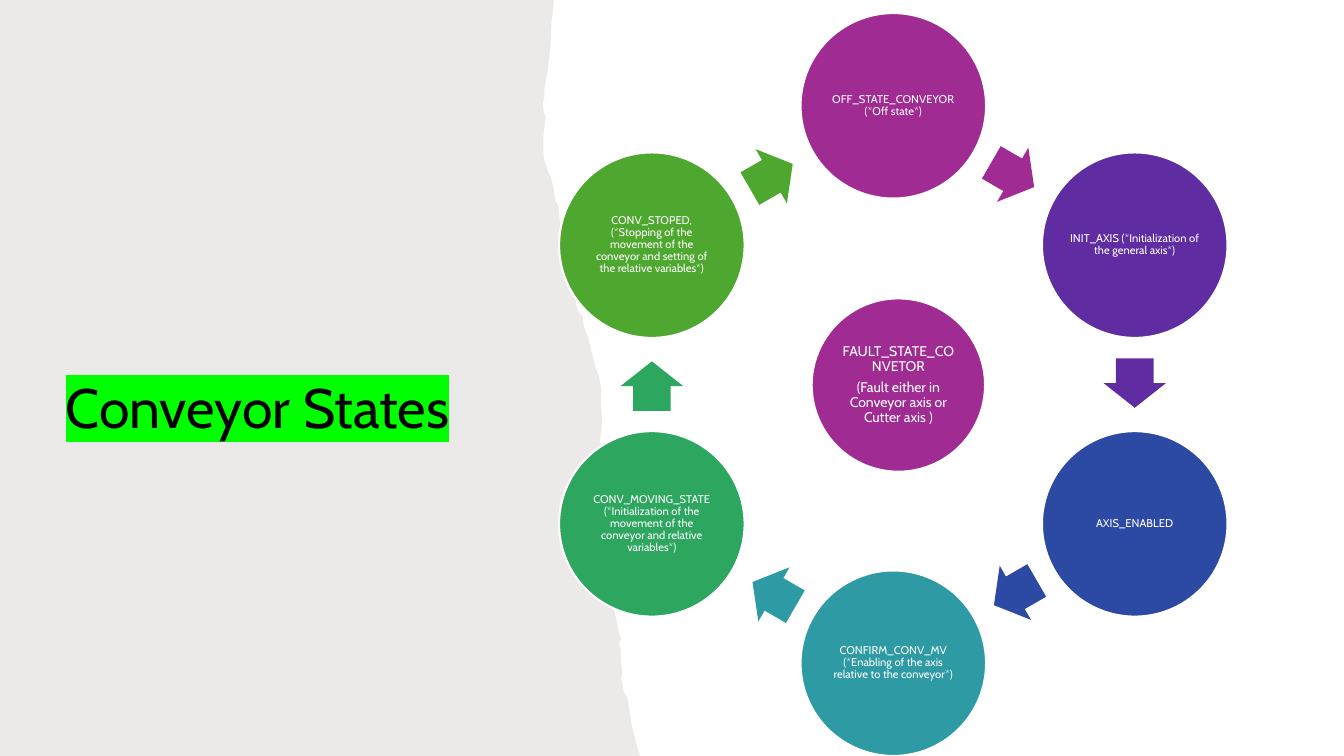
import math

import pptx
import pptx.dml.color
import pptx.enum.shapes
import pptx.enum.text
import pptx.oxml
import pptx.oxml.ns
import pptx.util

RGB = pptx.dml.color.RGBColor
SHAPE = pptx.enum.shapes.MSO_SHAPE
ALIGN = pptx.enum.text.PP_ALIGN
ANCHOR = pptx.enum.text.MSO_ANCHOR

SCALE = 9144
FONT = "Cabin"
WHITE = RGB(0xFF, 0xFF, 0xFF)
BLACK = RGB(0x00, 0x00, 0x00)
STONE = RGB(0x82, 0x76, 0x6A)
PLUM = RGB(0xA0, 0x2B, 0x93)
VIOLET = RGB(0x5F, 0x2C, 0xA1)
BLUE = RGB(0x2C, 0x49, 0xA3)
TEAL = RGB(0x2D, 0x9A, 0xA4)
JADE = RGB(0x2D, 0xA6, 0x5F)
GREEN = RGB(0x4E, 0xA7, 0x2E)

STATES = [
    ("OFF_STATE_CONVEYOR (*Off state*)", PLUM),
    ("INIT_AXIS (*Initialization of the general axis*)", VIOLET),
    ("AXIS_ENABLED", BLUE),
    ("CONFIRM_CONV_MV (*Enabling of the axis relative to the conveyor*)", TEAL),
    ("CONV_MOVING_STATE (*Initialization of the movement of the conveyor "
     "and relative variables*)", JADE),
    ("CONV_STOPED, (*Stopping of the movement of the conveyor and setting "
     "of the relative variables*)", GREEN),
]
FAULT = ["FAULT_STATE_CONVETOR", "(Fault either in Conveyor axis or Cutter axis )"]

EDGE = [
    (549, 0), (549, 5), (547, 22), (546, 45), (544, 64), (540, 88), (540, 96),
    (538, 103), (539, 109), (541, 117), (539, 135), (539, 151), (540, 160),
    (544, 171), (546, 175), (549, 186), (551, 200), (554, 204), (555, 217),
    (557, 226), (558, 232), (560, 238), (564, 247), (567, 252), (568, 263),
    (570, 274), (572, 290), (571, 302), (574, 310), (578, 314), (579, 324),
    (583, 334), (587, 350), (592, 369), (594, 373), (596, 385), (596, 399),
    (597, 414), (597, 420), (595, 439), (597, 443), (597, 448), (597, 473),
    (597, 484), (599, 491), (600, 496), (599, 502), (598, 510), (596, 516),
    (596, 521), (599, 530), (602, 539), (603, 551), (603, 561), (605, 569),
    (604, 575), (607, 586), (608, 597), (609, 606), (612, 617), (613, 625),
    (616, 634), (614, 639), (616, 645), (616, 654), (617, 669), (616, 673),
    (618, 682), (619, 687), (622, 692), (623, 696), (626, 717), (633, 745),
    (635, 750),
]


def px(size):
    """Turn px into EMU."""
    return pptx.util.Emu(round(size * SCALE))


def apply(item, form):
    """Set each value of a format on an item."""
    for key, value in form.items():
        setattr(item, key, value)


def write(frame, texts, size, color, gap=0, **form):
    """Fill a text frame with centred paragraphs."""
    apply(frame, {"word_wrap": True, **form})
    for i, text in enumerate(texts):
        para = frame.paragraphs[0] if i == 0 else frame.add_paragraph()
        apply(para, {"alignment": ALIGN.CENTER, "line_spacing": 0.9,
                     "space_after": pptx.util.Pt(gap)})
        run = para.add_run()
        apply(run, {"text": text})
        apply(run.font, {"name": FONT, "size": pptx.util.Pt(size)})
        run.font.color.rgb = color


def paint(shape, color):
    """Give a shape a plain fill without line or shadow."""
    shape.shadow.inherit = False
    shape.fill.solid()
    shape.fill.fore_color.rgb = color
    shape.line.fill.background()


def panel(shapes, x, y):
    """Draw the torn panel from its top left corner."""
    build = shapes.build_freeform(x, y, scale=SCALE)
    build.add_line_segments([(x + dx, y + dy) for dx, dy in EDGE] + [(x, y + EDGE[-1][1])])
    shape = build.convert_to_shape()
    paint(shape, STONE)
    tint = shape.fill._xPr.find(".//" + pptx.oxml.ns.qn("a:srgbClr"))
    tint.append(pptx.oxml.parse_xml(
        f'<a:alpha {pptx.oxml.ns.nsdecls("a")} val="15000"/>'))


def title(shapes, x, y, w, h):
    """Place the marked title in its box."""
    frame = shapes.add_textbox(px(x), px(y), px(w), px(h)).text_frame
    write(frame, ["Conveyor States"], 39.6, BLACK, vertical_anchor=ANCHOR.BOTTOM)
    fill = frame.paragraphs[0].runs[0].font._element.find(pptx.oxml.ns.qn("a:solidFill"))
    fill.addnext(pptx.oxml.parse_xml(
        f'<a:highlight {pptx.oxml.ns.nsdecls("a")}><a:srgbClr val="00FF00"/></a:highlight>'))


def disc(shapes, cx, cy, width, color, texts, size):
    """Draw a round state about its centre."""
    shape = shapes.add_shape(SHAPE.OVAL, px(cx - width / 2), px(cy - width / 2),
                             px(width), px(width))
    paint(shape, color)
    shape.line.color.rgb = WHITE
    shape.line.width = pptx.util.Pt(1.5)
    sides = ("margin_left", "margin_right", "margin_top", "margin_bottom")
    write(shape.text_frame, texts, size, WHITE, gap=size * 0.35,
          vertical_anchor=ANCHOR.MIDDLE, **dict.fromkeys(sides, px(1)))


def arrow(shapes, cx, cy, turn, color):
    """Draw a block arrow about its centre."""
    w, h = 49, 62
    shape = shapes.add_shape(SHAPE.RIGHT_ARROW, px(cx - w / 2), px(cy - h / 2), px(w), px(h))
    paint(shape, color)
    shape.rotation = turn
    shape.adjustments[0] = 0.6
    shape.adjustments[1] = 0.5


def ring(shapes, x, y, w, h):
    """Set the states and arrows in a ring inside the box."""
    width, lag = 184, 1.5
    cx, cy, reach = x + w / 2, y + h / 2, (h - width) / 2
    step = 360 / len(STATES)
    mid = reach * math.cos(math.radians(step / 2))
    for i, (text, color) in enumerate(STATES):
        angle = math.radians(i * step - 90)
        disc(shapes, cx + reach * math.cos(angle), cy + reach * math.sin(angle),
             width, color, [text], 8)
        turn = (i + 0.5) * step
        course = math.radians(turn)
        arrow(shapes, cx + mid * math.sin(course) - lag * math.cos(course),
              cy - mid * math.cos(course) - lag * math.sin(course), turn, color)


def main():
    """Build the slide and save it."""
    deck = pptx.Presentation()
    apply(deck, {"slide_width": px(1333), "slide_height": px(750)})
    shapes = deck.slides.add_slide(deck.slide_layouts[6]).shapes
    panel(shapes, 0, 0)
    title(shapes, 48, 352, 415, 90)
    ring(shapes, 554, 13, 664, 737)
    disc(shapes, 891, 382, 172, PLUM, FAULT, 10)
    deck.save("out.pptx")


if __name__ == "__main__":
    main()
